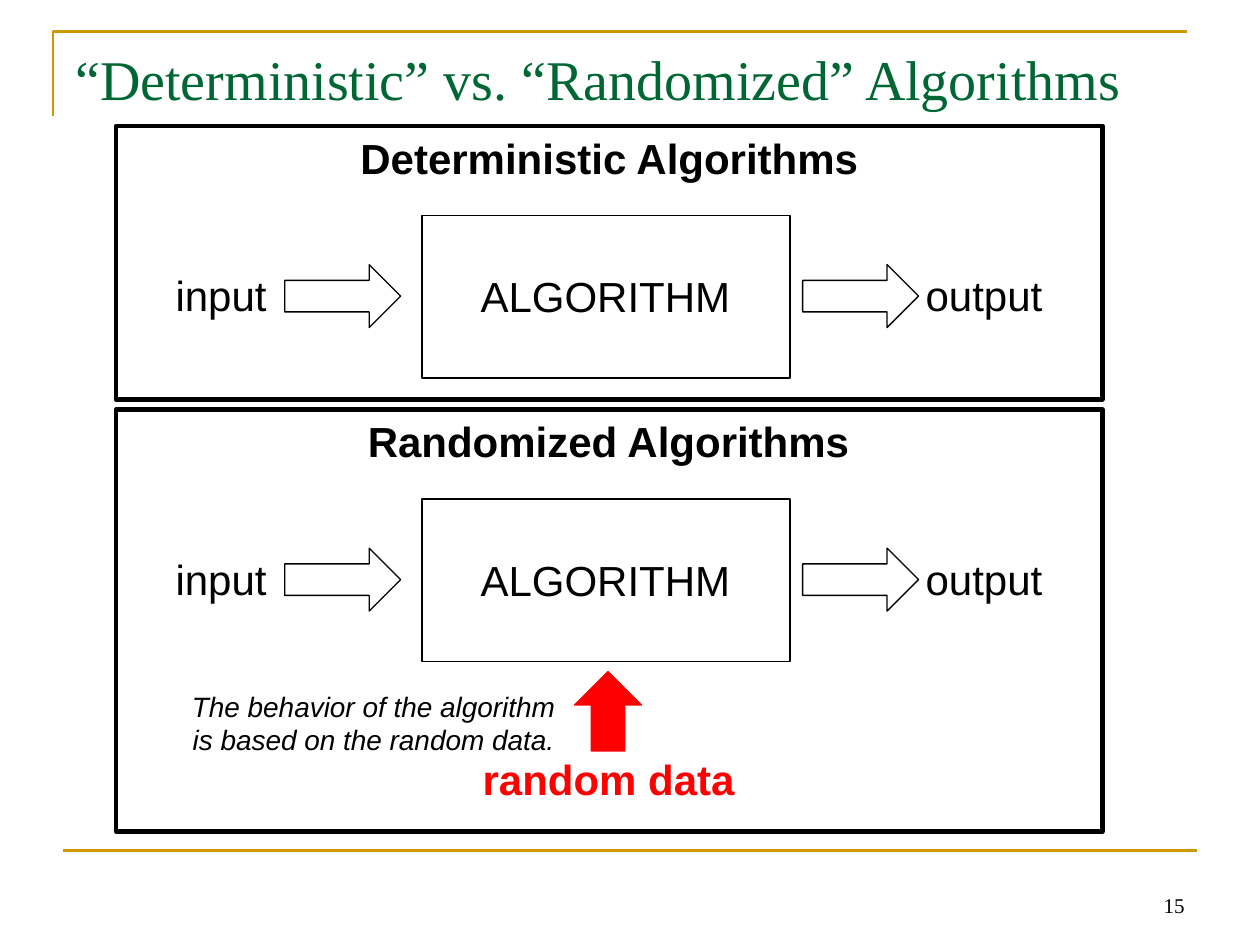
"""Build the slide comparing deterministic and randomized algorithms."""
from lxml.etree import SubElement
from pptx import Presentation
from pptx.dml.color import RGBColor
from pptx.enum.shapes import MSO_CONNECTOR, MSO_SHAPE
from pptx.enum.text import MSO_ANCHOR, PP_ALIGN
from pptx.oxml.ns import qn
from pptx.util import Inches, Pt

BLACK = RGBColor(0, 0, 0)
RED = RGBColor(0xFF, 0, 0)
GREEN = RGBColor(0, 0x66, 0x33)
GOLD = RGBColor(0xCC, 0x99, 0)

TITLE = "“Deterministic” vs. “Randomized” Algorithms"
PAGE_NUMBER = "15"
RANDOM_SOURCE = "random data"
REMARK = ["The behavior of the algorithm", "is based on the random data."]
PANELS = [
    {"heading": "Deterministic Algorithms", "top": 1, "height": 2.17, "span": (2.74, 4.19)},
    {"heading": "Randomized Algorithms", "top": 3.25, "height": 3.35, "span": (2.8, 4.06)},
]
FLOW_LABELS = [
    ("ALGORITHM", 3.38, 1.1, 2.85, True),
    ("input", 1.29, 1.09, 0.93, False),
    ("output", 7.24, 1.09, 1.14, False),
]
FLOW_ARROW_LEFTS = [2.47, 6.58]

BODY = {"name": "Arial", "size": Pt(24)}
STRONG = {**BODY, "bold": True}
REMARK_FONT = {"name": "Arial", "size": Pt(16), "italic": True}
TITLE_FONT = {"name": "Times New Roman", "size": Pt(32)}
NUMBER_FONT = {"name": "Times New Roman", "size": Pt(12)}


def add_text(shapes, lines, box, font, color=BLACK, align=PP_ALIGN.CENTER,
             anchor=MSO_ANCHOR.TOP, wrap=False):
    frame = shapes.add_textbox(*map(Inches, box)).text_frame
    for attribute, value in {"word_wrap": wrap, "vertical_anchor": anchor}.items():
        setattr(frame, attribute, value)
    frame.text = "\n".join(lines)
    for paragraph in frame.paragraphs:
        paragraph.alignment = align
        for attribute, value in font.items():
            setattr(paragraph.font, attribute, value)
        paragraph.font.color.rgb = color


def add_outline(shapes, preset, box, width=0.75, rotation=0, color=BLACK, filled=False):
    outline = shapes.add_shape(preset, *map(Inches, box))
    outline.shadow.inherit = False
    outline.rotation = rotation
    if filled:
        outline.fill.solid()
        outline.fill.fore_color.rgb = color
    else:
        outline.fill.background()
    outline.line.color.rgb = color
    outline.line.width = Pt(width)


def add_rules(shapes):
    builder = shapes.build_freeform(Inches(0.42), Inches(0.92))
    builder.add_line_segments([(Inches(0.42), Inches(0.25)), (Inches(9.42), Inches(0.25))],
                              close=False)
    corner = builder.convert_to_shape()
    corner.shadow.inherit = False
    corner.fill.background()
    footer = shapes.add_connector(MSO_CONNECTOR.STRAIGHT, *map(Inches, (0.5, 6.75, 9.5, 6.75)))
    SubElement(footer.line._get_or_add_ln().getparent(), qn("a:effectLst"))
    for rule in (corner, footer):
        rule.line.color.rgb = GOLD
        rule.line.width = Pt(1.5)


def add_panel(shapes, panel):
    top = panel["top"]
    left, width = panel["span"]
    flow = shapes.add_group_shape().shapes
    for label, x, offset, label_width, wrap in FLOW_LABELS:
        add_text(flow, [label], (x, top + offset, label_width, 0.5), BODY, wrap=wrap)
    add_outline(flow, MSO_SHAPE.RECTANGLE, (3.35, top + 0.71, 2.92, 1.29))
    for x in FLOW_ARROW_LEFTS:
        add_outline(flow, MSO_SHAPE.DOWN_ARROW, (x, top + 0.89, 0.5, 0.92), rotation=270)
    add_outline(shapes, MSO_SHAPE.RECTANGLE, (0.92, top, 7.83, panel["height"]), width=2.5)
    add_text(shapes, [panel["heading"]], (left, top, width, 0.5), STRONG)


def main():
    presentation = Presentation()
    presentation.slide_width, presentation.slide_height = Inches(10), Inches(7.5)
    shapes = presentation.slides.add_slide(presentation.slide_layouts[6]).shapes
    add_rules(shapes)
    add_text(shapes, [TITLE], (0.5, 0.3, 9, 1.25), TITLE_FONT, GREEN, PP_ALIGN.LEFT, wrap=True)
    add_text(shapes, [PAGE_NUMBER], (7.17, 6.83, 2.33, 0.5), NUMBER_FONT,
             align=PP_ALIGN.RIGHT, anchor=MSO_ANCHOR.BOTTOM, wrap=True)
    for panel in PANELS:
        add_panel(shapes, panel)
    add_outline(shapes, MSO_SHAPE.DOWN_ARROW, (4.56, 5.33, 0.53, 0.63),
                rotation=180, color=RED, filled=True)
    add_text(shapes, [RANDOM_SOURCE], (3.72, 5.93, 2.22, 0.5), STRONG, RED)
    add_text(shapes, REMARK, (1.35, 5.42, 3.23, 0.64), REMARK_FONT)
    presentation.save("out.pptx")


if __name__ == "__main__":
    main()
